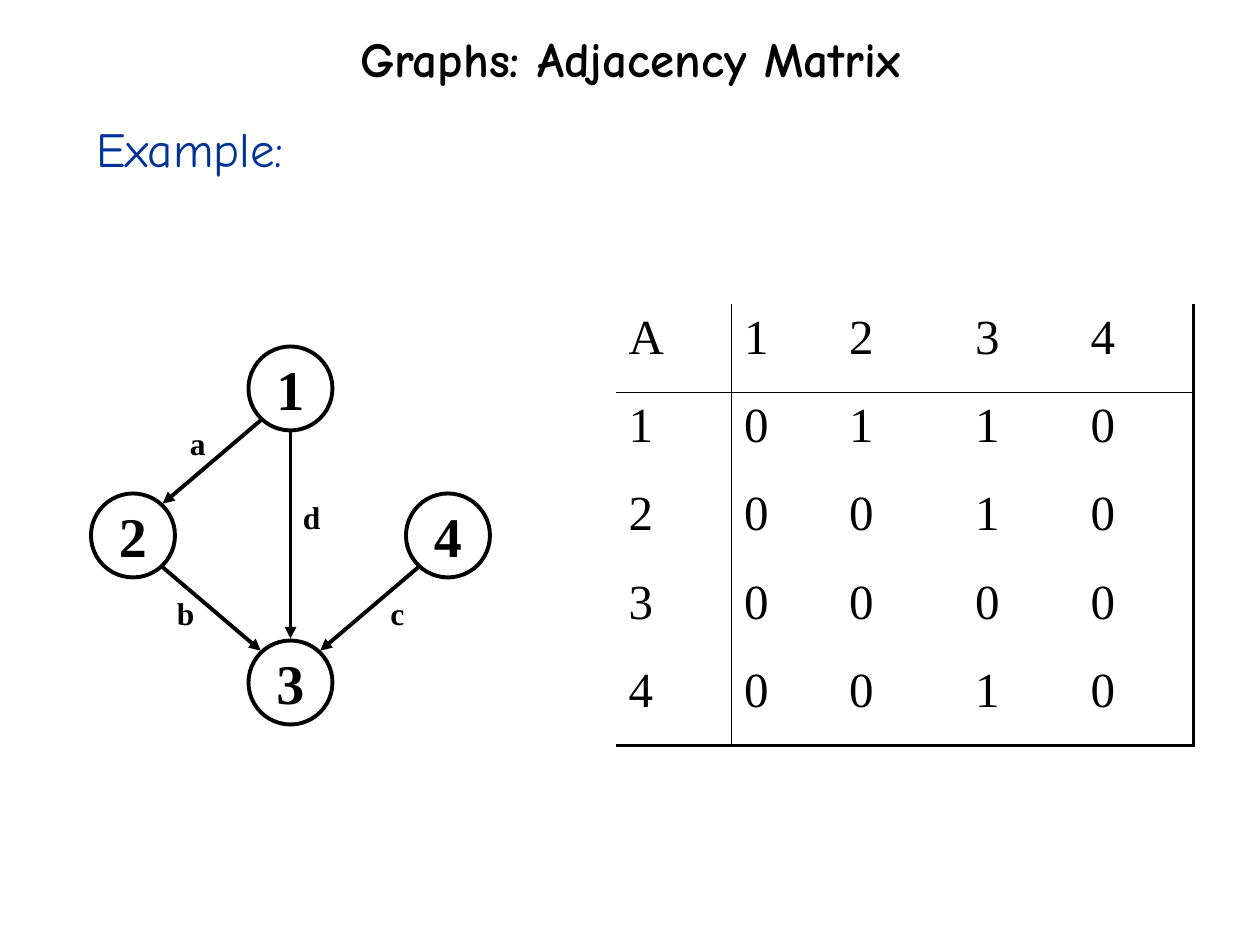
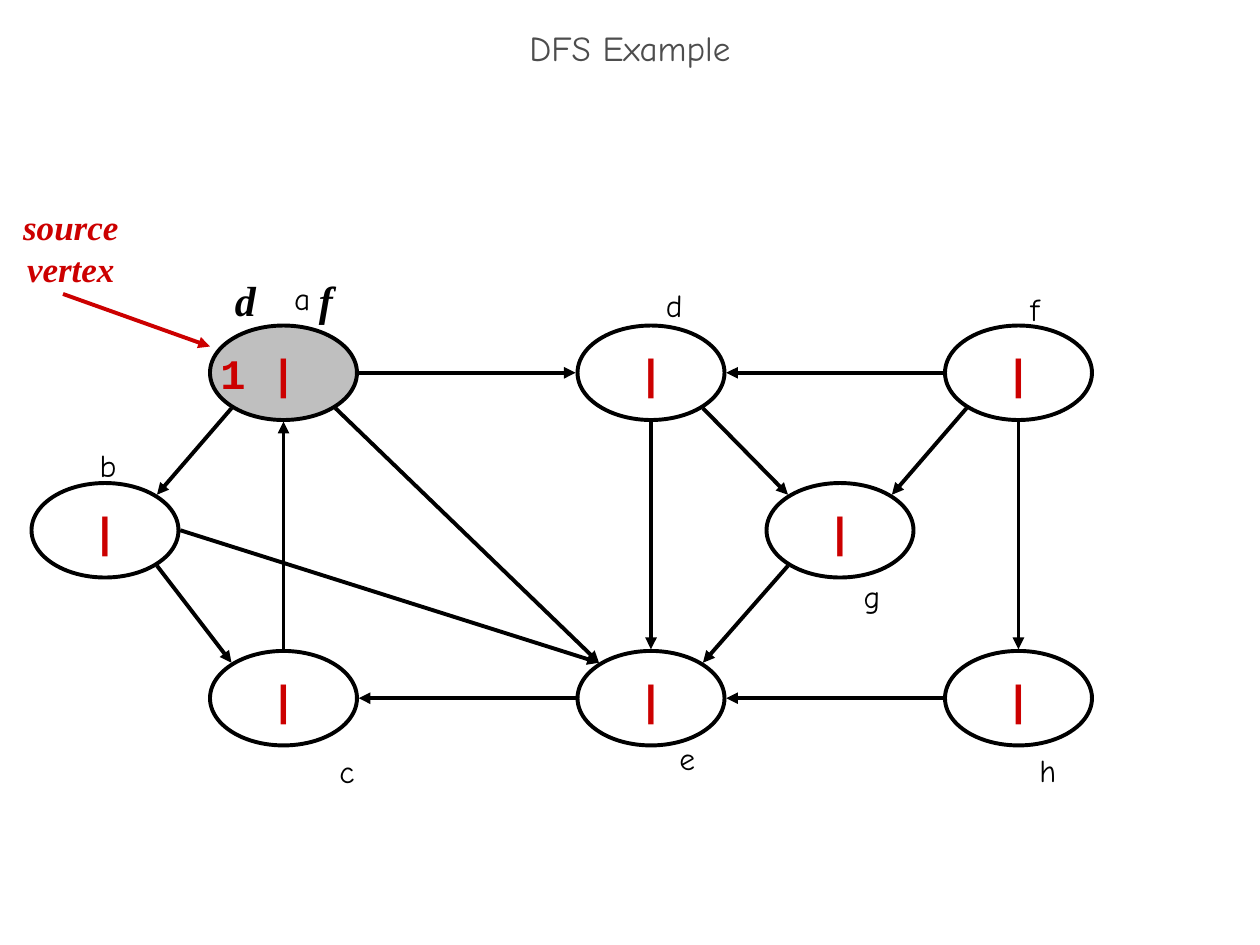
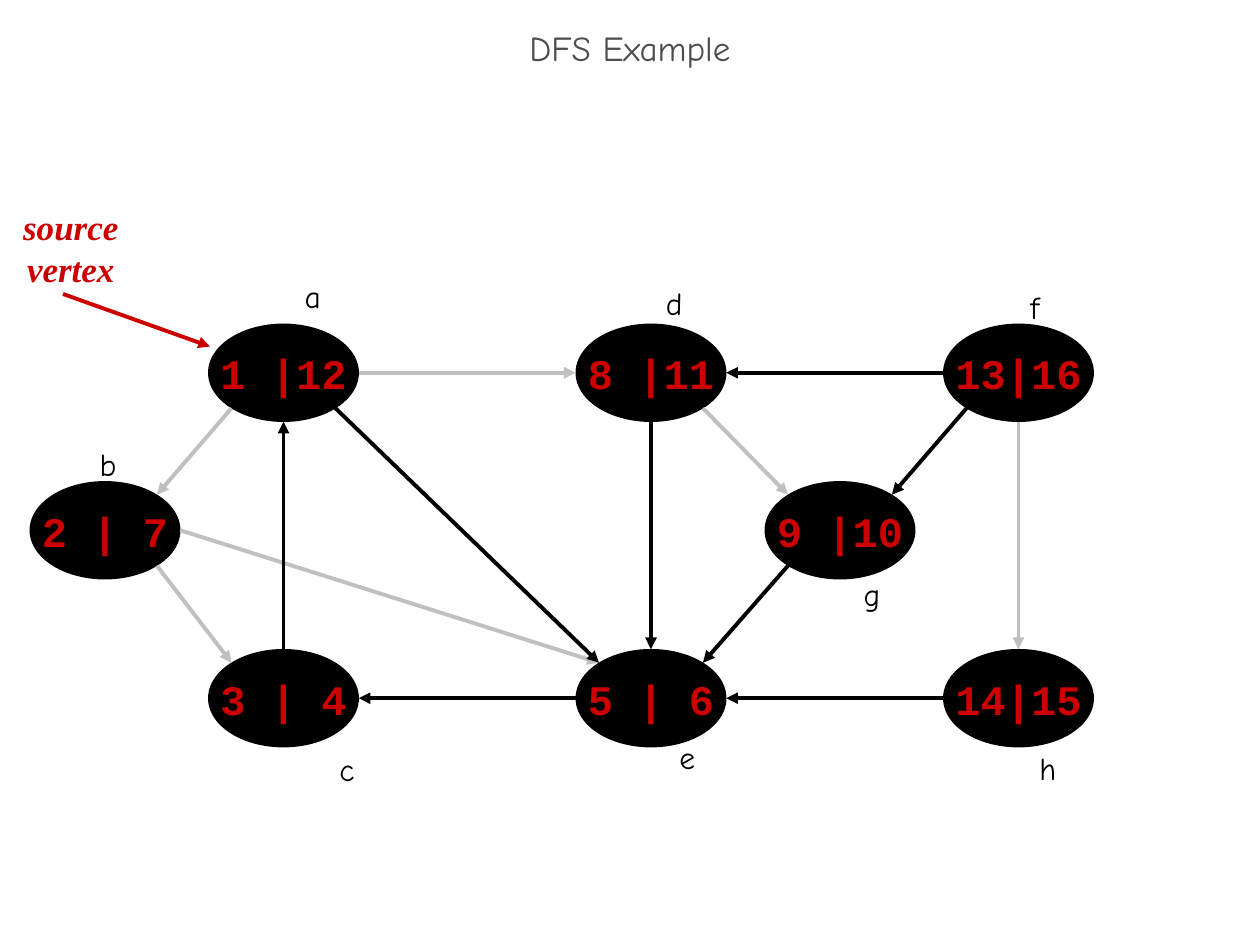
from lxml import etree
from pptx import Presentation
from pptx.dml.color import RGBColor
from pptx.enum import shapes, text
from pptx.oxml import ns
from pptx.util import Pt

BLACK, BLUE, RED = "000000", "003399", "CC0000"
DARK_GREY, GREY, LIGHT_GREY = "4D4D4D", "BFBFBF", "C0C0C0"
COMIC, COURIER, TIMES = "Comic Neue", "Courier New", "Times New Roman"
STROKE = 2.25

# Adjacency example: nodes (left, top), edges (from, side, to, side)
VERTEX_SIZE = (48, 48)
VERTICES = {"1": (142, 198), "2": (52, 282), "4": (232, 282), "3": (142, 366)}
VERTEX_EDGES = [("1", "SW", "2", "NE"), ("2", "SE", "3", "NW"),
                ("4", "SW", "3", "NE"), ("1", "S", "3", "N")]
EDGE_NAMES = {"a": (101, 239), "d": (166, 281), "b": (94, 336), "c": (215, 336)}
MATRIX = ["A1234", "10110", "20010", "30000", "40010"]
MATRIX_AT = (352, 174)
MATRIX_COLUMNS = [66, 60, 72, 66, 66]
MATRIX_ROW = 50.4

# Depth-first search example
STATE_SIZE = (84, 54)
STATES = {"a": (120, 186), "d": (330, 186), "f": (540, 186), "h": (540, 372),
          "e": (330, 372), "c": (120, 372), "b": (18, 276), "g": (438, 276)}
STATE_EDGES = [("a", "SW", "b", "NE"), ("b", "SE", "c", "NW"), ("b", "E", "e", "NW"),
               ("e", "W", "c", "E"), ("c", "N", "a", "S"), ("a", "SE", "e", "NW"),
               ("d", "S", "e", "N"), ("a", "E", "d", "W"), ("f", "W", "d", "E"),
               ("d", "SE", "g", "NW"), ("f", "SW", "g", "NE"), ("f", "S", "h", "N"),
               ("h", "W", "e", "E"), ("g", "SW", "e", "NE")]
TREE_EDGES = {"ab", "bc", "be", "ad", "dg", "fh"}
STATE_NAMES = {"a": (136, 156, 73.5), "b": (43, 251.5, 37.5), "c": (151, 426, 94.5),
               "d": (355, 160, 60.5), "e": (332, 419, 121.5), "g": (476, 326, 44.5),
               "h": (574, 425.5, 49.5), "f": (566.5, 162, 49.5)}
FINAL_NAMES = {name: (left, top - 1, width)
               for name, (left, top, width) in STATE_NAMES.items()}
FINAL_NAMES["a"] = (142, 155, 73.5)
START_TIMES = dict.fromkeys(STATES, "|") | {"a": "1 |"}
FINAL_TIMES = {"a": "1 |12", "d": "8 |11", "f": "13|16", "h": "14|15",
               "e": "5 | 6", "c": "3 | 4", "b": "2 | 7", "g": "9 |10"}


def rgb(value):
    return RGBColor.from_string(value)


def write(frame, words, size, font, color=BLACK, bold=False, italic=False,
          align="CENTER", anchor="TOP", wrap=True, spacing=None):
    frame.word_wrap = wrap
    frame.vertical_anchor = getattr(text.MSO_ANCHOR, anchor)
    paragraph = frame.paragraphs[0]
    paragraph.alignment = getattr(text.PP_ALIGN, align)
    if spacing:
        paragraph.line_spacing = spacing
    for number, line in enumerate(words.split("\n")):
        if number:
            paragraph.add_line_break()
        run = paragraph.add_run()
        run.text = line
        run.font.size, run.font.name = Pt(size), font
        run.font.bold, run.font.italic = bold, italic
        run.font.color.rgb = rgb(color)
    return paragraph


def add_words(slide, box, words, size, font, **style):
    frame = slide.shapes.add_textbox(*map(Pt, box)).text_frame
    return write(frame, words, size, font, **style)


def add_title(slide, words, top, size, color, bold=False):
    add_words(slide, (0, top, 720, 36), words, size, COMIC, color=color,
              bold=bold, anchor="MIDDLE", spacing=0.7)


def add_ellipse(slide, at, size, fill=None, line=BLACK):
    ellipse = slide.shapes.add_shape(shapes.MSO_SHAPE.OVAL, *map(Pt, at + size))
    ellipse.shadow.inherit = False
    if fill:
        ellipse.fill.solid()
        ellipse.fill.fore_color.rgb = rgb(fill)
    else:
        ellipse.fill.background()
    if line:
        ellipse.line.color.rgb = rgb(line)
        ellipse.line.width = Pt(STROKE)
    else:
        ellipse.line.fill.background()
    return ellipse.text_frame


def add_arrow(slide, start, end, color=BLACK):
    arrow = slide.shapes.add_connector(shapes.MSO_CONNECTOR.STRAIGHT,
                                       *map(Pt, start + end))
    arrow.line.color.rgb = rgb(color)
    arrow.line.width = Pt(STROKE)
    etree.SubElement(arrow.line._get_or_add_ln(), ns.qn("a:tailEnd"), type="triangle")
    etree.SubElement(arrow._element.spPr, ns.qn("a:effectLst"))


def rim(at, size, side):
    """Point just outside an ellipse on a compass side."""
    x = ("E" in side) - ("W" in side)
    y = ("S" in side) - ("N" in side)
    radius_x, radius_y = size[0] / 2, size[1] / 2
    if x and y:
        reach_x, reach_y = radius_x * 0.707, radius_y * 0.707 + 1.2
    else:
        reach_x, reach_y = radius_x + 1, radius_y + 1
    return at[0] + radius_x + x * reach_x, at[1] + radius_y + y * reach_y


def add_edges(slide, nodes, size, edges, faded=()):
    for start, start_side, end, end_side in edges:
        add_arrow(slide, rim(nodes[start], size, start_side),
                  rim(nodes[end], size, end_side),
                  LIGHT_GREY if start + end in faded else BLACK)


def set_borders(cell, widths):
    """Borders in the order left, right, top, bottom; 0 means none."""
    properties = cell._tc.get_or_add_tcPr()
    for place, (side, width) in enumerate(zip("LRTB", widths)):
        border = etree.Element(ns.qn("a:ln" + side), w=str(Pt(width)))
        if width:
            fill = etree.SubElement(border, ns.qn("a:solidFill"))
            etree.SubElement(fill, ns.qn("a:srgbClr"), val=BLACK)
        else:
            etree.SubElement(border, ns.qn("a:noFill"))
        properties.insert(place, border)


def add_matrix(slide):
    count = len(MATRIX)
    table = slide.shapes.add_table(count, count, *map(Pt, MATRIX_AT), Pt(sum(MATRIX_COLUMNS)),
                                   Pt(MATRIX_ROW * count)).table
    table.first_row = table.horz_banding = False
    for column, width in zip(table.columns, MATRIX_COLUMNS):
        column.width = Pt(width)
    rules = [0, 1] + [0] * (count - 2) + [STROKE]  # width of each grid line
    for r, values in enumerate(MATRIX):
        table.rows[r].height = Pt(MATRIX_ROW)
        for c, value in enumerate(values):
            cell = table.cell(r, c)
            cell.fill.background()
            write(cell.text_frame, value, 28, TIMES, align="LEFT")
            set_borders(cell, (rules[c], rules[c + 1], rules[r], rules[r + 1]))


def add_adjacency(slide):
    add_title(slide, "Graphs: Adjacency Matrix", 19.5, 28, BLACK, bold=True)
    add_words(slide, (48, 72, 618, 426), "Example:", 28, COMIC, color=BLUE,
              align="LEFT", spacing=Pt(26))
    for name, at in VERTICES.items():
        write(add_ellipse(slide, at, VERTEX_SIZE), name, 32, TIMES, bold=True,
              anchor="MIDDLE", wrap=False)
    add_edges(slide, VERTICES, VERTEX_SIZE, VERTEX_EDGES)
    for name, at in EDGE_NAMES.items():
        add_words(slide, at + (24, 29), name, 18, TIMES, bold=True, wrap=False)
    add_matrix(slide)


def add_search(slide, times, fills, names, faded=()):
    add_title(slide, "DFS Example", 12, 20, DARK_GREY)
    for name, at in STATES.items():
        frame = add_ellipse(slide, at, STATE_SIZE, fills.get(name))
        if times[name].endswith(" |"):  # keep the bar in the middle
            frame.margin_left, frame.margin_right = 0, Pt(28.8)
        write(frame, times[name], 24, COURIER, color=RED, bold=True,
              anchor="MIDDLE", wrap=False)
    add_edges(slide, STATES, STATE_SIZE, STATE_EDGES, faded)
    add_arrow(slide, (36, 168), (120, 198), RED)
    add_words(slide, (6, 114, 69, 55.5), "source\nvertex", 20, TIMES, color=RED,
              bold=True, italic=True, wrap=False)
    for name, (left, top, width) in names.items():
        add_words(slide, (left, top, width, 29), name, 18, COMIC)


def add_time_heads(slide):
    frame = add_ellipse(slide, (120, 144), STATE_SIZE, line=None)
    frame.margin_left, frame.margin_right = Pt(2), 0
    paragraph = write(frame, "d\tf", 24, TIMES, bold=True, italic=True,
                      align="LEFT", anchor="MIDDLE")
    tabs = etree.SubElement(paragraph._p.get_or_add_pPr(), ns.qn("a:tabLst"))
    etree.SubElement(tabs, ns.qn("a:tab"), pos=str(Pt(48)), algn="l")


def main():
    deck = Presentation()
    deck.slide_width, deck.slide_height = Pt(720), Pt(540)
    matrix, start, final = (deck.slides.add_slide(deck.slide_layouts[6]) for _ in range(3))
    add_adjacency(matrix)
    add_search(start, START_TIMES, {"a": GREY}, STATE_NAMES)
    add_time_heads(start)
    add_search(final, FINAL_TIMES, dict.fromkeys(STATES, BLACK), FINAL_NAMES, TREE_EDGES)
    deck.save("out.pptx")


if __name__ == "__main__":
    main()
